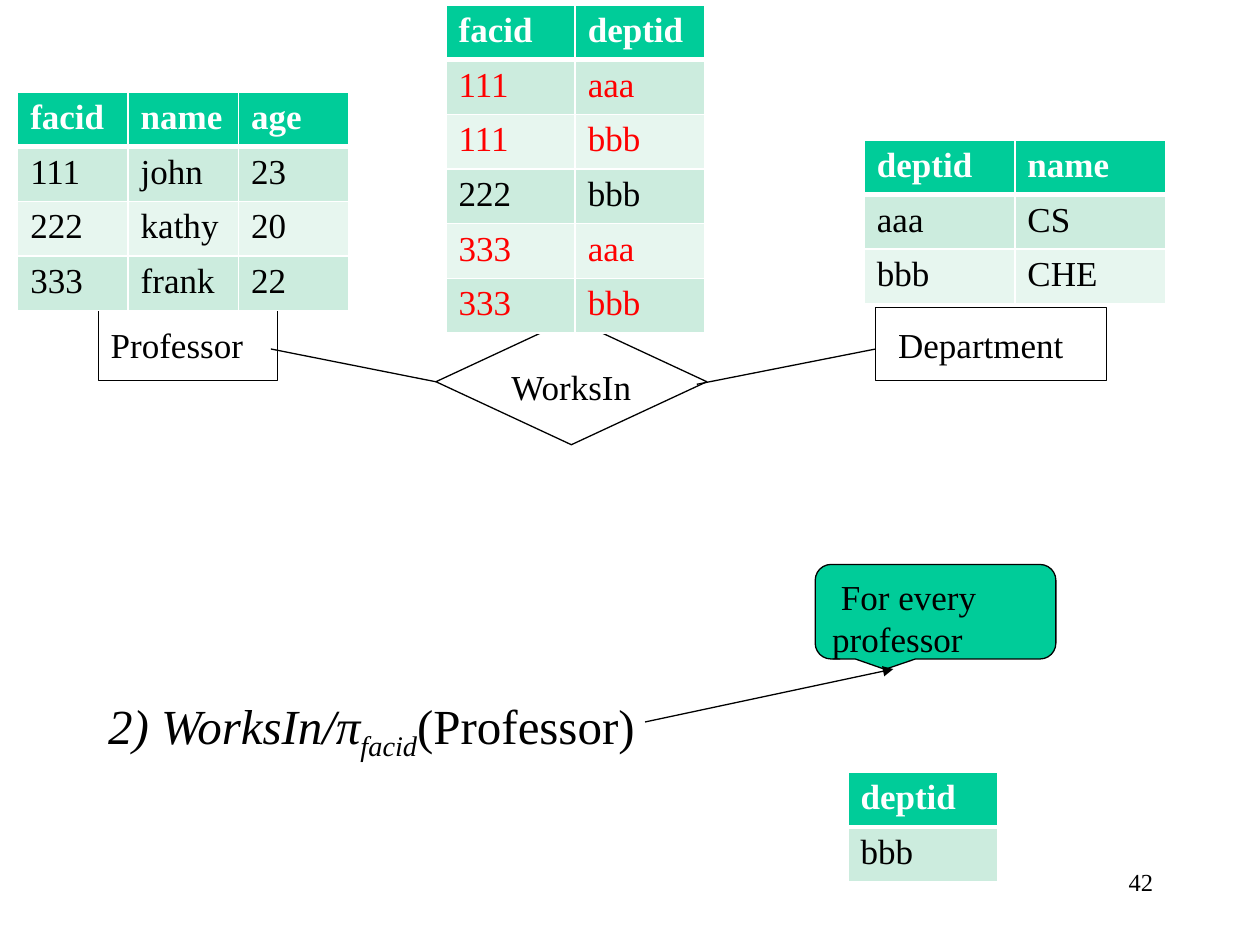
from lxml import etree
from pptx import Presentation
from pptx import util as u
from pptx.dml.color import RGBColor
from pptx.enum import shapes, text
from pptx.oxml import ns

FONT = "Times New Roman"
BLACK = RGBColor(0, 0, 0)
WHITE = RGBColor(255, 255, 255)
RED = RGBColor(255, 0, 0)
GREEN = RGBColor(0x00, 0xCC, 0x99)
BANDS = [RGBColor(0xCC, 0xEC, 0xDE), RGBColor(0xE7, 0xF6, 0xEF)]
COLUMNS, ROWS = 100, 75
GRID_STEP = u.Inches(0.1)
ROW_HEIGHT = 4.05


def grid(*counts):
    """Turn counts of grid columns or rows into lengths."""
    return [u.Emu(round(count * GRID_STEP)) for count in counts]


def add_run(paragraph, content, size=20, color=BLACK, bold=False, italic=False, baseline=0):
    """Append one formatted run to a paragraph."""
    run = paragraph.add_run()
    run.text = content
    font = run.font
    font.name, font.size, font.bold, font.italic = FONT, u.Pt(size), bold, italic
    font.color.rgb = color
    if baseline:
        run._r.get_or_add_rPr().set("baseline", str(baseline * 1000))


def add_label(slide, box, runs, wrap=True, grow=True, align=text.PP_ALIGN.LEFT):
    """Add a text box made of (content, format) runs."""
    frame = slide.shapes.add_textbox(*grid(*box)).text_frame
    frame.word_wrap = wrap
    frame.auto_size = text.MSO_AUTO_SIZE.SHAPE_TO_FIT_TEXT if grow else text.MSO_AUTO_SIZE.NONE
    paragraph = frame.paragraphs[0]
    paragraph.alignment = align
    for content, style in runs:
        add_run(paragraph, content, **style)


def add_outline(slide, kind, box, fill=None):
    """Add a preset shape with a thin black outline."""
    shape = slide.shapes.add_shape(kind, *grid(*box))
    shape.shadow.inherit = False
    if fill is None:
        shape.fill.background()
    else:
        shape.fill.solid()
        shape.fill.fore_color.rgb = fill
    shape.line.color.rgb = BLACK
    shape.line.width = u.Pt(0.75)
    return shape


def add_callout(slide, box, content):
    """Add a green speech bubble whose tip points down."""
    kind = shapes.MSO_SHAPE.ROUNDED_RECTANGULAR_CALLOUT
    shape = add_outline(slide, kind, box, GREEN)
    shape.adjustments[0], shape.adjustments[1] = -0.21, 0.61
    frame = shape.text_frame
    frame.word_wrap = True
    frame.vertical_anchor = text.MSO_ANCHOR.TOP
    frame.paragraphs[0].alignment = text.PP_ALIGN.LEFT
    add_run(frame.paragraphs[0], content)


def add_line(slide, start, end, arrow=False):
    """Add a thin straight connector, with an arrowhead on request."""
    line = slide.shapes.add_connector(shapes.MSO_CONNECTOR.STRAIGHT, *grid(*start, *end))
    line.line.color.rgb = BLACK
    line.line.width = u.Pt(0.75)
    if arrow:
        etree.SubElement(line.line._get_or_add_ln(), ns.qn("a:tailEnd"), type="triangle")
    etree.SubElement(line._element.spPr, ns.qn("a:effectLst"))
    return line


def add_borders(cell, top, bottom):
    """Draw white cell borders with the given top and bottom widths."""
    properties = cell._tc.get_or_add_tcPr()
    for side, width in (("L", 1), ("R", 1), ("T", top), ("B", bottom)):
        border = etree.SubElement(properties, ns.qn(f"a:ln{side}"), w=str(u.Pt(width)))
        fill = etree.SubElement(border, ns.qn("a:solidFill"))
        etree.SubElement(fill, ns.qn("a:srgbClr"), val=str(WHITE))


def add_relation(slide, left, top, column_width, records, red_rows=()):
    """Add a banded table with a header row and optional red rows."""
    size = len(records), len(records[0])
    box = grid(left, top, column_width * size[1], ROW_HEIGHT * size[0])
    table = slide.shapes.add_table(*size, *box).table
    for row, record in enumerate(records):
        header = row == 0
        color = WHITE if header else RED if row in red_rows else BLACK
        for column, value in enumerate(record):
            cell = table.cell(row, column)
            add_borders(cell, 3 if row == 1 else 1, 3 if header else 1)
            cell.fill.solid()
            cell.fill.fore_color.rgb = GREEN if header else BANDS[(row - 1) % 2]
            add_run(cell.text_frame.paragraphs[0], value, color=color, bold=header)


def add_diagram(slide):
    """Add the entities, the relationship and the lines between them."""
    for left, width in ((7.8, 14.2), (69.5, 18.3)):
        add_outline(slide, shapes.MSO_SHAPE.RECTANGLE, (left, 24.4, width, 5.8))
    add_label(slide, (39.6, 28.5, 13.7, 5), [("WorksIn", {})], wrap=False)
    add_label(slide, (7.8, 25.2, 14.6, 5), [("Professor", {})], wrap=False)
    add_label(slide, (70.3, 25.2, 20, 5), [("Department", {})])
    diamond = add_outline(slide, shapes.MSO_SHAPE.DIAMOND, (34.6, 25.3, 21.5, 10))
    add_line(slide, (55.3, 30.5), (69.5, 27.7))
    add_line(slide, (21.5, 27.7), (34.6, 30.3)).end_connect(diamond, 1)


def add_relations(slide):
    """Add the tables of departments, professors and assignments."""
    add_relation(slide, 68.6, 11.1, 11.95, [("deptid", "name"), ("aaa", "CS"), ("bbb", "CHE")])
    professors = [("facid", "name", "age"), ("111", "john", "23"),
                  ("222", "kathy", "20"), ("333", "frank", "22")]
    add_relation(slide, 1.4, 7.3, 8.77, professors)
    assignments = [("facid", "deptid"), ("111", "aaa"), ("111", "bbb"),
                   ("222", "bbb"), ("333", "aaa"), ("333", "bbb")]
    add_relation(slide, 35.4, 0.4, 10.25, assignments, red_rows=(1, 2, 4, 5))


def add_query(slide):
    """Add the division query, its explanation and its result."""
    query = [("2) WorksIn/π", {"size": 28, "italic": True}),
             ("facid", {"size": 28, "italic": True, "baseline": -25}),
             ("(Professor)", {"size": 28})]
    add_label(slide, (7.6, 54.7, 55.6, 5.7), query)
    add_callout(slide, (64.7, 44.8, 19.1, 7.5), " For every professor")
    add_line(slide, (51.2, 57.3), (70.9, 53.1), arrow=True)
    add_relation(slide, 67.3, 61.3, 11.9, [("deptid",), ("bbb",)])


def main():
    """Build the slide and save it."""
    presentation = Presentation()
    presentation.slide_width, presentation.slide_height = grid(COLUMNS, ROWS)
    slide = presentation.slides.add_slide(presentation.slide_layouts[6])
    add_diagram(slide)
    add_relations(slide)
    add_query(slide)
    add_label(slide, (71.7, 68.3, 20.8, 5), [("42", {"size": 14})],
              grow=False, align=text.PP_ALIGN.RIGHT)
    presentation.save("out.pptx")


if __name__ == "__main__":
    main()
